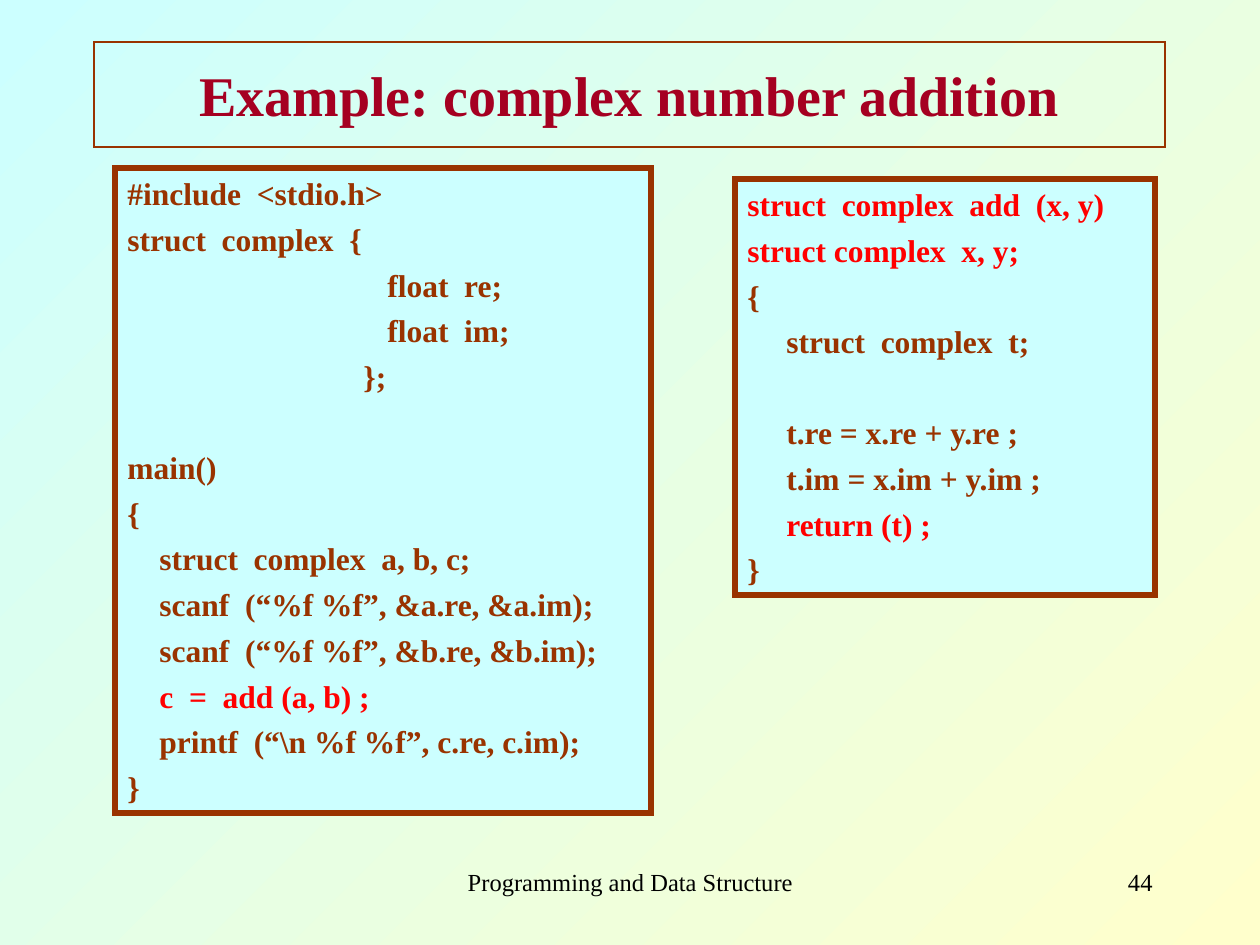
"""Build a slide that shows complex number addition in C."""
from lxml import etree
from pptx import Presentation, util as u
from pptx.dml import color
from pptx.enum import shapes, text
from pptx.oxml import ns

COLORS = {"brown": "993300", "red": "FF0000", "title": "A50021", "black": "000000",
          "panel": "CCFFFF", "sky": "CCFFFF", "cream": "FFFFCC"}
FONT = "Times New Roman"
PX = u.Inches(1) / 126
CODE_SIZE, LINE_HEIGHT, CODE_GAP = 18, 21.5, 4.5

TITLE = ("Example: complex number addition", (94, 42, 1071, 105))
FOOTERS = [
    ("Programming and Data Structure", (431, 861, 399, 63), "CENTER"),
    ("44", (903, 861, 262, 63), "RIGHT"),
]
PANELS = [
    ((115, 168, 536, 645), [
        ("#include  <stdio.h>", 0, "brown"),
        ("struct  complex  {", 0, "brown"),
        ("float  re;", 260, "brown"),
        ("float  im;", 260, "brown"),
        ("};", 236, "brown"),
        None,
        ("main()", 0, "brown"),
        ("{", 0, "brown"),
        ("struct  complex  a, b, c;", 32, "brown"),
        ("scanf  (“%f %f”, &a.re, &a.im);", 32, "brown"),
        ("scanf  (“%f %f”, &b.re, &b.im);", 32, "brown"),
        ("c  =  add (a, b) ;", 32, "red"),
        ("printf  (“\\n %f %f”, c.re, c.im);", 32, "brown"),
        ("}", 0, "brown"),
    ]),
    ((735, 179, 420, 416), [
        ("struct  complex  add  (x, y)", 0, "red"),
        ("struct complex  x, y;", 0, "red"),
        ("{", 0, "brown"),
        ("struct  complex  t;", 39, "brown"),
        None,
        ("t.re = x.re + y.re ;", 39, "brown"),
        ("t.im = x.im + y.im ;", 39, "brown"),
        ("return (t) ;", 39, "red"),
        ("}", 0, "brown"),
    ]),
]


def px(length):
    return u.Emu(round(length * PX))


def rgb(name):
    return color.RGBColor.from_string(COLORS[name])


def place(shape, area):
    shape.left, shape.top, shape.width, shape.height = map(px, area)


def outline(shape, width):
    shape.line.color.rgb = rgb("brown")
    shape.line.width = u.Pt(width)
    border = shape._element.spPr.find(ns.qn("a:ln"))
    etree.SubElement(border, ns.qn("a:miter")).set("lim", "800000")


def set_frame(shape, anchor):
    frame = shape.text_frame
    frame.word_wrap = True
    frame.auto_size = text.MSO_AUTO_SIZE.NONE
    frame.vertical_anchor = text.MSO_ANCHOR[anchor]
    return frame


def write(para, words, size=CODE_SIZE, fill="brown", bold=False, align="LEFT", indent=0, before=0):
    para.alignment = text.PP_ALIGN[align]
    para.space_before = u.Pt(before)
    if indent:
        para._p.get_or_add_pPr().set("marL", str(px(indent)))
    span = para.add_run()
    span.text = words
    span.font.name, span.font.size, span.font.bold = FONT, u.Pt(size), bold
    span.font.color.rgb = rgb(fill)


def add_panel(page, area, lines):
    box = page.shapes.add_shape(shapes.MSO_SHAPE.RECTANGLE, *map(px, area))
    box.shadow.inherit = False
    box.fill.solid()
    box.fill.fore_color.rgb = rgb("panel")
    outline(box, 3)
    frame = set_frame(box, "TOP")
    para, before = frame.paragraphs[0], 0
    for line in lines:
        if line is None:
            before += LINE_HEIGHT + CODE_GAP
            continue
        words, indent, fill = line
        para = para or frame.add_paragraph()
        write(para, words, fill=fill, bold=True, indent=indent, before=before)
        para, before = None, CODE_GAP


def main():
    deck = Presentation()
    deck.slide_width, deck.slide_height = u.Inches(10), u.Inches(7.5)
    page = deck.slides.add_slide(deck.slide_layouts[5])
    backdrop = page.background.fill
    backdrop.gradient()
    backdrop.gradient_angle = 315
    for stop, name in zip(backdrop.gradient_stops, ("sky", "cream")):
        stop.color.rgb = rgb(name)

    words, area = TITLE
    title = page.shapes.title
    place(title, area)
    outline(title, 0.75)
    write(set_frame(title, "MIDDLE").paragraphs[0], words,
          size=32, fill="title", bold=True, align="CENTER")

    for words, area, align in FOOTERS:
        box = page.shapes.add_textbox(*map(px, area))
        write(set_frame(box, "TOP").paragraphs[0], words, size=14, fill="black", align=align)

    for area, lines in PANELS:
        add_panel(page, area, lines)
    deck.save("out.pptx")


if __name__ == "__main__":
    main()
